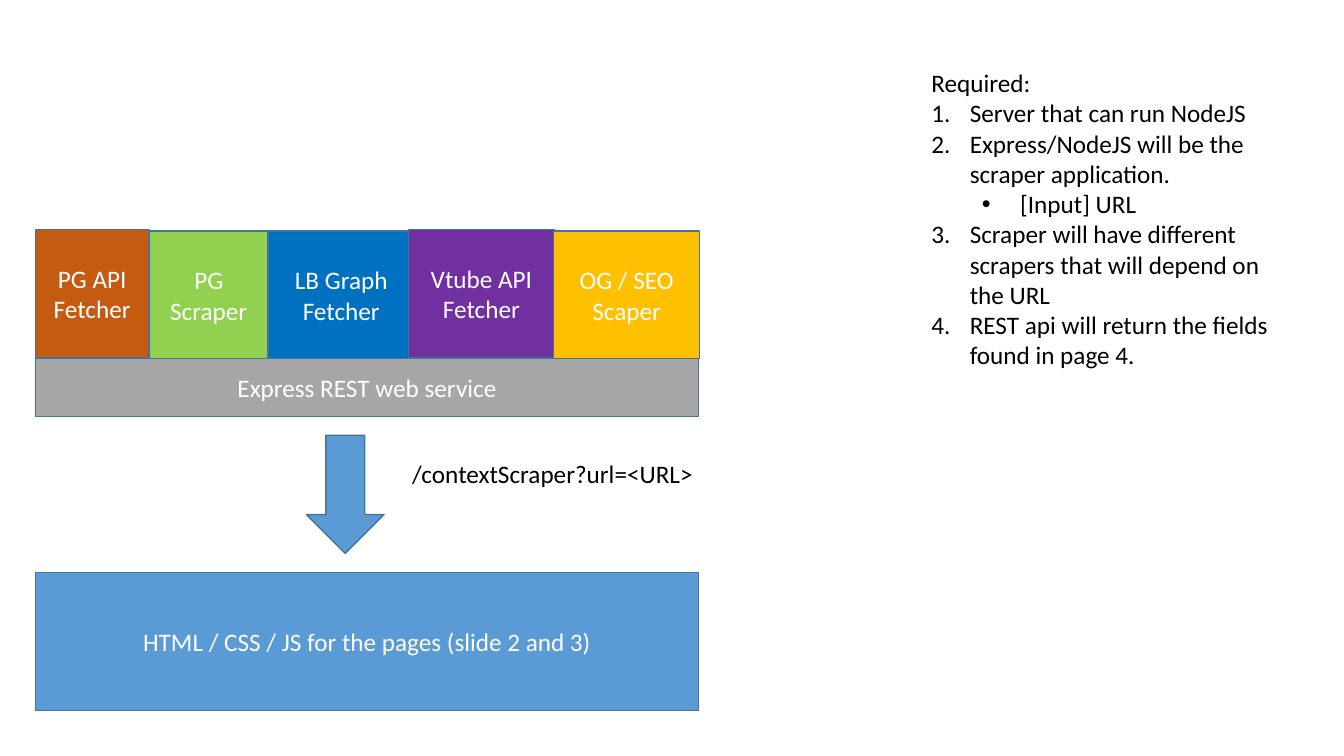
"""Build the scraper architecture slide."""
from lxml import etree
from pptx import Presentation
from pptx.dml.color import RGBColor
from pptx.enum import shapes, text
from pptx.oxml import ns
from pptx.util import Pt

PX = 9144
FONT, SIZE = "Calibri", Pt(18)
BLACK = RGBColor(0x00, 0x00, 0x00)
WHITE = RGBColor(0xFF, 0xFF, 0xFF)
BLUE = RGBColor(0x5B, 0x9B, 0xD5)
OUTLINE = RGBColor(0x43, 0x73, 0x9E)
GREY = RGBColor(0xA6, 0xA6, 0xA6)
RUST = RGBColor(0xC5, 0x5A, 0x11)
GREEN = RGBColor(0x92, 0xD0, 0x50)
DEEP_BLUE = RGBColor(0x00, 0x70, 0xC0)
PURPLE = RGBColor(0x70, 0x30, 0xA0)
GOLD = RGBColor(0xFF, 0xC0, 0x00)

RECT = shapes.MSO_SHAPE.RECTANGLE
ARROW = shapes.MSO_SHAPE.DOWN_ARROW
BLOCKS = [
    (RECT, "HTML / CSS / JS for the pages (slide 2 and 3)", (35, 568, 658, 137), BLUE),
    (RECT, "Express REST web service", (35, 356, 658, 57), GREY),
    (ARROW, "", (304, 432, 77, 117), BLUE),
    (RECT, "PG API Fetcher", (35, 228, 113, 127), RUST),
    (RECT, "PG Scraper", (148, 229, 118, 127), GREEN),
    (RECT, "LB Graph Fetcher", (266, 229, 145, 127), DEEP_BLUE),
    (RECT, "Vtube API Fetcher", (405, 228, 145, 127), PURPLE),
    (RECT, "OG / SEO Scaper", (549, 229, 145, 127), GOLD),
]
ENDPOINT = "/contextScraper?url=<URL>"
ENDPOINT_BOX = (399, 450, 301, 40)
REQUIRED_BOX = (914, 62, 370, 313)
HANG = 38
REQUIRED = [
    ("", "Required:"),
    ("number", "Server that can run NodeJS"),
    ("number", "Express/NodeJS will be the scraper application."),
    ("bullet", "[Input] URL"),
    ("number", "Scraper will have different scrapers that will depend on the URL"),
    ("number", "REST api will return the fields found in page 4."),
]
MARKERS = {
    "number": (0, 38, [("a:buFont", {"typeface": "+mj-lt"}),
                       ("a:buAutoNum", {"type": "arabicPeriod"})]),
    "bullet": (1, 88, [("a:buFont", {"typeface": "Arial"}),
                       ("a:buChar", {"char": "•"})]),
}


def emu(box):
    """Turn a px box into EMU."""
    return [v * PX for v in box]


def write(p, words, color):
    """Set the words of a paragraph and format them."""
    p.text = words
    for r in p.runs:
        r.font.name, r.font.size = FONT, SIZE
        r.font.color.rgb = color


def add_block(slide, kind, words, box, fill):
    """Add a filled, outlined shape with centred words."""
    sp = slide.shapes.add_shape(kind, *emu(box))
    sp.shadow.inherit = False
    sp.fill.solid()
    sp.fill.fore_color.rgb = fill
    sp.line.color.rgb = OUTLINE
    sp.line.width = Pt(1)
    if words:
        tf = sp.text_frame
        tf.word_wrap = True
        tf.vertical_anchor = text.MSO_ANCHOR.MIDDLE
        p = tf.paragraphs[0]
        p.alignment = text.PP_ALIGN.CENTER
        write(p, words, WHITE)


def add_text(slide, box, wrap):
    """Add a text box and return its frame."""
    tf = slide.shapes.add_textbox(*emu(box)).text_frame
    tf.word_wrap = wrap
    tf.auto_size = text.MSO_AUTO_SIZE.SHAPE_TO_FIT_TEXT
    return tf


def mark(p, marker):
    """Give a paragraph its list marker and hanging indent."""
    level, margin, tags = MARKERS[marker]
    p.level = level
    pPr = p._p.get_or_add_pPr()
    pPr.set("marL", str(margin * PX))
    pPr.set("indent", str(-HANG * PX))
    for tag, attrs in tags:
        etree.SubElement(pPr, ns.qn(tag), attrs)


def main():
    """Build and save the slide."""
    prs = Presentation()
    prs.slide_width, prs.slide_height = emu((1333, 750))
    slide = prs.slides.add_slide(prs.slide_layouts.get_by_name("Blank"))

    tf = add_text(slide, REQUIRED_BOX, True)
    for i, (marker, words) in enumerate(REQUIRED):
        p = tf.add_paragraph() if i else tf.paragraphs[0]
        write(p, words, BLACK)
        if marker:
            mark(p, marker)

    for block in BLOCKS:
        add_block(slide, *block)
    write(add_text(slide, ENDPOINT_BOX, False).paragraphs[0], ENDPOINT, BLACK)

    prs.save("out.pptx")


if __name__ == "__main__":
    main()
